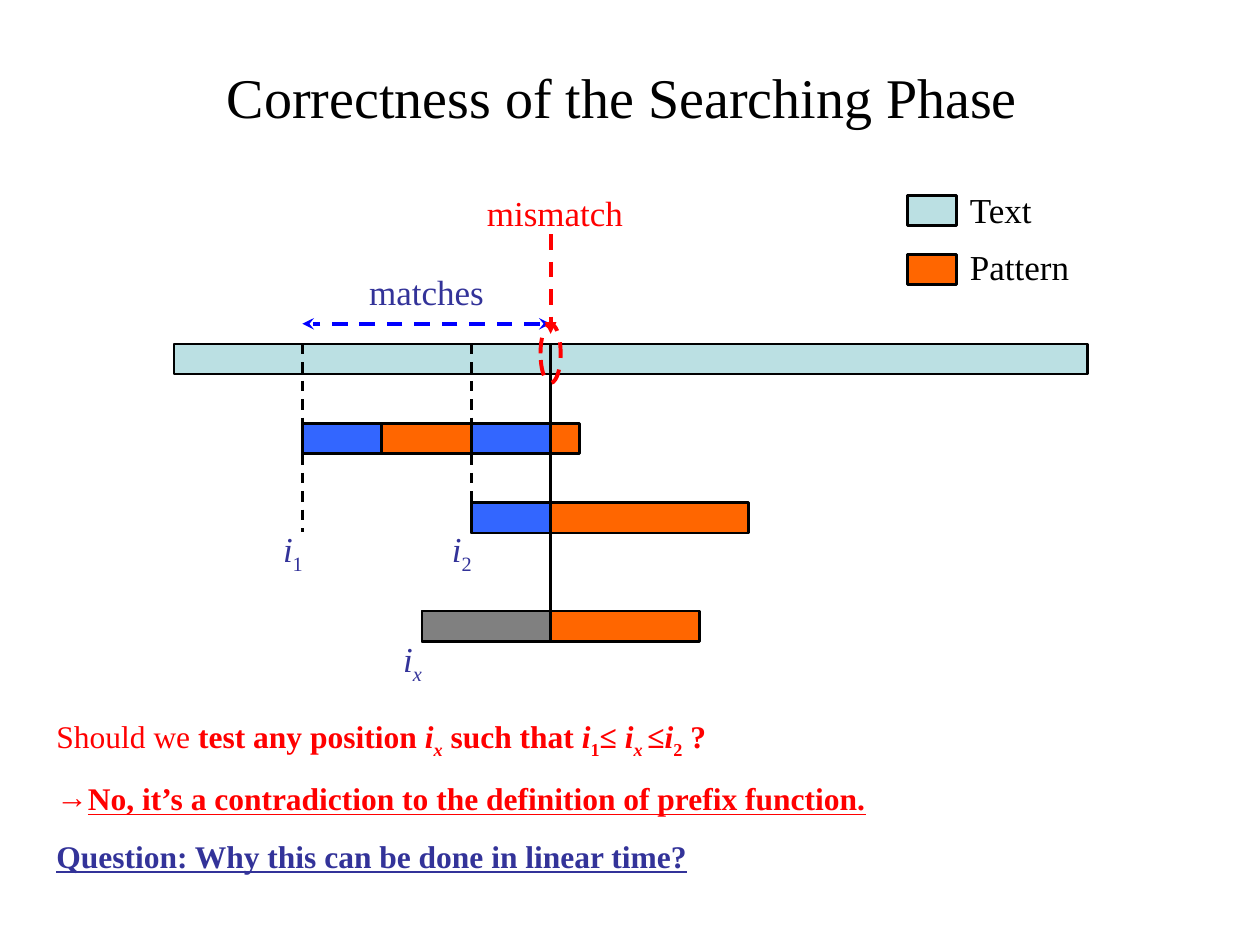
from collections import namedtuple

from lxml import etree
from pptx import Presentation
from pptx.dml.color import RGBColor
from pptx.enum.dml import MSO_LINE
from pptx.enum.shapes import MSO_CONNECTOR, MSO_SHAPE
from pptx.enum.text import MSO_ANCHOR, PP_ALIGN
from pptx.oxml.ns import qn
from pptx.util import Inches, Pt

COLORS = {
    "black": "000000", "text": "BBE0E3", "pattern": "FF6600", "prefix": "3366FF",
    "unknown": "808080", "red": "FF0000", "navy": "333399", "blue": "0000FF",
}
FONT = "Times New Roman"
BAR_HEIGHT = 0.24
Box = namedtuple("Box", "left top width height")


def rgb(name):
    return RGBColor.from_string(COLORS[name])


def emu(values):
    return [Inches(value) for value in values]


def add_block(page, box, fill, shape=MSO_SHAPE.RECTANGLE, line="black", weight=1.5):
    block = page.shapes.add_shape(shape, *emu(box))
    block.shadow.inherit = False
    if fill:
        block.fill.solid()
        block.fill.fore_color.rgb = rgb(fill)
    else:
        block.fill.background()
    block.line.color.rgb = rgb(line)
    block.line.width = Pt(weight)
    return block


def add_line(page, start, end, color="black", weight=1.5, dashed=True, head=None, tail=None):
    line = page.shapes.add_connector(MSO_CONNECTOR.STRAIGHT, *emu(start + end))
    line.line.color.rgb = rgb(color)
    line.line.width = Pt(weight)
    if dashed:
        line.line.dash_style = MSO_LINE.DASH
    properties = line._element.spPr
    outline = properties.find(qn("a:ln"))
    for tag, kind in (("a:headEnd", head), ("a:tailEnd", tail)):
        if kind:
            etree.SubElement(outline, qn(tag), type=kind)
    etree.SubElement(properties, qn("a:effectLst"))


def add_spans(para, spans, size, color):
    """Style letters: b bold, i italic, u underline, s subscript."""
    for text, style in spans:
        span = para.add_run()
        span.text = text
        font = span.font
        font.name, font.size, font.color.rgb = FONT, Pt(size), rgb(color)
        font.bold, font.italic, font.underline = (letter in style for letter in "biu")
        if "s" in style:
            span._r.get_or_add_rPr().set("baseline", "-25000")


def add_text_box(page, box):
    frame = page.shapes.add_textbox(*emu(box)).text_frame
    frame.word_wrap = True
    return frame


def add_label(page, box, spans, color, align=PP_ALIGN.CENTER):
    para = add_text_box(page, box).paragraphs[0]
    para.alignment = align
    add_spans(para, spans, 20, color)


def add_arrow_bullet(para):
    properties = para._p.get_or_add_pPr()
    properties.set("marL", "0")
    properties.set("indent", "0")
    color = etree.SubElement(properties, qn("a:buClr"))
    etree.SubElement(color, qn("a:srgbClr"), val=COLORS["red"])
    etree.SubElement(properties, qn("a:buFont"), typeface=FONT)
    etree.SubElement(properties, qn("a:buChar"), char="→")


def place_title(page, box):
    title = page.shapes.title
    title.left, title.top, title.width, title.height = emu(box)
    frame = title.text_frame
    frame.vertical_anchor = MSO_ANCHOR.MIDDLE
    frame.margin_right = Inches(0.22)
    para = frame.paragraphs[0]
    para.alignment = PP_ALIGN.CENTER
    add_spans(para, [("Correctness of the Searching Phase", "")], 32, "black")


def place_diagram(page, box):
    left, top = box.left, box.top
    first, second, unknown, mismatch = (left + step for step in (1.02, 2.36, 1.97, 2.99))
    prefix = mismatch - second
    first_top, second_top, unknown_top = (top + step for step in (0.63, 1.26, 2.12))

    # Text and the pattern at each shift
    add_block(page, Box(left, top, box.width, BAR_HEIGHT), "text")
    for start, bar_top in ((first, first_top), (second, second_top), (unknown, unknown_top)):
        add_block(page, Box(start, bar_top, 2.2, BAR_HEIGHT), "pattern")
    for start, bar_top in ((first, first_top), (second, first_top), (second, second_top)):
        add_block(page, Box(start, bar_top, prefix, BAR_HEIGHT), "prefix")
    add_block(page, Box(unknown, unknown_top, mismatch - unknown, BAR_HEIGHT), "unknown")

    # Position guides
    add_line(page, (mismatch, top), (mismatch, unknown_top), dashed=False)
    for start in (first, second):
        add_line(page, (start, top), (start, second_top + BAR_HEIGHT - 0.01))

    # Matches and mismatch
    add_line(page, (mismatch, top - 0.16), (first, top - 0.16), "blue", 2.25,
             head="stealth", tail="stealth")
    ring = add_block(page, Box(mismatch - 0.08, top - 0.16, 0.16, 0.47), None,
                     MSO_SHAPE.OVAL, "red", 2.25)
    ring.line.dash_style = MSO_LINE.DASH
    add_line(page, (mismatch, top - 0.87), (mismatch, top - 0.08), "red", 2.25, tail="triangle")
    add_label(page, Box(first + 0.16, top - 0.63, 1.65, 0.44), [("matches", "")], "navy")
    add_label(page, Box(mismatch - 0.79, top - 1.26, 1.65, 0.44), [("mismatch", "")], "red")

    # Shift names
    for start, label_top, index, style in (
        (first, second_top + 0.15, "1", "s"),
        (second, second_top + 0.15, "2", "s"),
        (unknown, unknown_top + 0.16, "x", "is"),
    ):
        add_label(page, Box(start - 0.31, label_top, 0.47, 0.48),
                  [("i", "i"), (index, style)], "navy")


def place_legend(page, box):
    for row, (name, fill) in enumerate((("Text", "text"), ("Pattern", "pattern"))):
        add_block(page, Box(box.left, box.top + 0.1 + row * 0.47, 0.39, BAR_HEIGHT), fill)
        add_label(page, Box(box.left + 0.4, box.top + row * 0.45, box.width - 0.4, 0.44),
                  [(name, "")], "black", PP_ALIGN.LEFT)


def place_statements(page, box):
    question = [
        ("Should we ", ""), ("test any position ", "b"), ("i", "bi"), ("x", "bis"),
        (" such that ", "b"), ("i", "bi"), ("1", "bs"), ("≤ ", "b"), ("i", "bi"),
        ("x ", "bis"), ("≤", "b"), ("i", "bi"), ("2", "bs"), (" ?", "b"),
    ]
    answer = [("No, it’s a contradiction to the definition of prefix function.", "bu")]
    follow_up = [("Question: Why this can be done in linear time?", "bu")]
    frame = add_text_box(page, box)
    for row, (spans, color) in enumerate(
        ((question, "red"), (answer, "red"), (follow_up, "navy"))
    ):
        para = frame.add_paragraph() if row else frame.paragraphs[0]
        if row:
            para.space_before = Pt(11.2)
        if spans is answer:
            add_arrow_bullet(para)
        add_spans(para, spans, 18, color)


def main():
    deck = Presentation()
    deck.slide_width, deck.slide_height = Inches(10), Inches(7.5)
    page = deck.slides.add_slide(deck.slide_layouts[5])
    place_title(page, Box(0.5, 0.3, 9, 0.93))
    place_diagram(page, Box(1.38, 2.73, 7.25, 2.36))
    place_statements(page, Box(0.35, 5.64, 9.37, 1.36))
    place_legend(page, Box(7.2, 1.45, 1.43, 0.89))
    deck.save("out.pptx")


if __name__ == "__main__":
    main()
